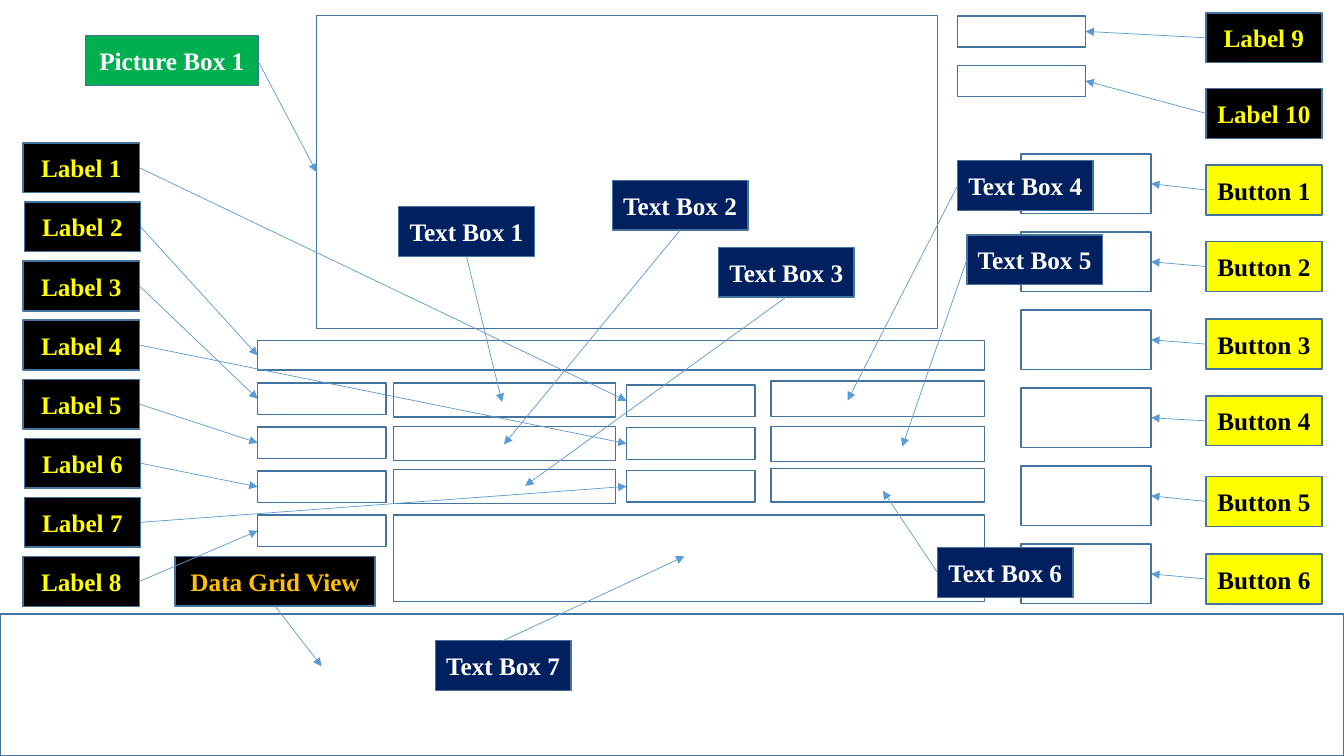
import pptx
import pptx.util
import pptx.dml.color
import pptx.enum.shapes
import pptx.enum.text
import pptx.oxml

Pt = pptx.util.Pt
TOP, LEFT, BOTTOM, RIGHT = range(4)
TALL = 35.6
BLACK, WHITE, YELLOW = "000000", "FFFFFF", "FFFF00"


def color(code):
    return pptx.dml.color.RGBColor.from_string(code)


def frame(slide, x, y, w, h):
    kind = pptx.enum.shapes.MSO_SHAPE.RECTANGLE
    shape = slide.shapes.add_shape(kind, Pt(x), Pt(y), Pt(w), Pt(h))
    shape.shadow.inherit = False
    shape.fill.background()
    shape.line.color.rgb = color("43739E")
    shape.line.width = Pt(1)
    return shape


def tag(slide, x, y, w, text, fill, ink):
    shape = frame(slide, x, y, w, TALL)
    shape.fill.solid()
    shape.fill.fore_color.rgb = color(fill)
    body = shape.text_frame
    body.word_wrap = True
    body.margin_left = body.margin_right = 0
    body.vertical_anchor = pptx.enum.text.MSO_ANCHOR.MIDDLE
    line = body.paragraphs[0]
    line.alignment = pptx.enum.text.PP_ALIGN.CENTER
    run = line.add_run()
    run.text = text
    run.font.name = "Times New Roman"
    run.font.size = Pt(18)
    run.font.bold = True
    run.font.color.rgb = color(ink)
    return shape


def arrow(slide, start, side, x, y):
    kind = pptx.enum.shapes.MSO_CONNECTOR.STRAIGHT
    link = slide.shapes.add_connector(kind, Pt(x), Pt(y), Pt(x), Pt(y))
    link.begin_connect(start, side)
    link.line.color.rgb = color("5B9BD5")
    link.line.width = Pt(0.5)
    space = pptx.oxml.ns.qn
    head = link.line._get_or_add_ln().makeelement(space("a:tailEnd"), {"type": "triangle"})
    link.line._get_or_add_ln().append(head)
    props = link._element.spPr
    props.append(props.makeelement(space("a:effectLst"), {}))
    return link


def join(slide, start, side, goal, end):
    arrow(slide, start, side, 0, 0).end_connect(goal, end)


def media(slide, box):
    x, y, w, h = box
    view = frame(slide, x + 164.9, y, w - 164.9, h)
    name = tag(slide, x, y + 14.4, 123.1, "Picture Box 1", "00B050", WHITE)
    join(slide, name, RIGHT, view, LEFT)


def panel(slide, box):
    x, y, w, h = box
    left = x + w - 82.8
    for row in range(2):
        field = frame(slide, x, y + 2.1 + 35.3 * row, 91.4, 22.3)
        name = tag(slide, left, y + 54 * row, 82.8, f"Label {9 + row}", BLACK, YELLOW)
        join(slide, name, LEFT, field, RIGHT)
    for row, drop in enumerate((108.7, 163.4, 218.8, 273.6, 331.2, 386.6)):
        field = frame(slide, x + 45.4, y + 100.8 + 55.73 * row, 92.9, 42.5)
        name = tag(slide, left, y + drop, 82.8, f"Button {row + 1}", YELLOW, BLACK)
        join(slide, name, LEFT, field, RIGHT)


def form(slide, box):
    x, y, w, h = box
    fields = {2: frame(slide, x, y, w, 20.9)}
    for row, number in enumerate((3, 5, 6, 8)):
        fields[number] = frame(slide, x, y + 30.2 + 31.44 * row, 91.8, 22.5)
    for row, number in enumerate((1, 4, 7)):
        fields[number] = frame(slide, x + 263.5, y + 31.6 + 30.6 * row, 91.8, 22.5)
        frame(slide, x + 97.2, y + 30.1 + 31 * row, 158.6, 24.3)
    for drop, tall in ((28.8, 25.2), (61.2, 25.2), (91.4, 23.8)):
        frame(slide, x + w - 152.6, y + drop, 152.6, tall)
    frame(slide, x + 97.2, y + 124.5, w - 97.2, h - 124.5)
    return fields


def grid(slide, box):
    x, y, w, h = box
    frame(slide, x, y + 41.1, w, h - 41.1)
    name = tag(slide, x + 125.1, y, 142.9, "Data Grid View", BLACK, "FFC000")
    arrow(slide, name, BOTTOM, x + 229.7, y + 78.5)


def labels(slide, box, fields):
    x, y, w, h = box
    step = (h - TALL) / 7
    for number in range(1, 9):
        shift = 0.8 if number in (2, 6, 7) else 0
        name = tag(slide, x + shift, y + step * (number - 1), w, f"Label {number}", BLACK, YELLOW)
        join(slide, name, RIGHT, fields[number], LEFT)


def notes(slide, box):
    x, y, w, h = box
    spots = (
        (284.8, 147.6, BOTTOM, 358.6, 287.2),
        (437.4, 128.8, BOTTOM, 360, 317.5),
        (513.2, 176.6, BOTTOM, 375.1, 347),
        (684, 114.8, LEFT, 605.5, 286),
        (690.6, 167.8, LEFT, 644.5, 319),
        (669.6, 391.2, LEFT, 630.7, 350.6),
        (311, 457.6, TOP, 488.9, 397.4),
    )
    for number, (left, top, side, right, low) in enumerate(spots, 1):
        name = tag(slide, x + left, y + top, 96.8, f"Text Box {number}", "002060", WHITE)
        arrow(slide, name, side, x + right, y + low)


def main():
    deck = pptx.Presentation()
    deck.slide_width, deck.slide_height = Pt(960), Pt(540)
    slide = deck.slides.add_slide(deck.slide_layouts[6])
    media(slide, (61.2, 11.2, 608.4, 223.4))
    panel(slide, (684, 9.2, 260.2, 422.4))
    fields = form(slide, (184, 243.4, 519.4, 186.4))
    grid(slide, (0, 397.4, 960, 142.6))
    labels(slide, (16.5, 102.1, 83.2, 331), fields)
    notes(slide, (0, 0, 960, 540))
    deck.save("out.pptx")


if __name__ == "__main__":
    main()
